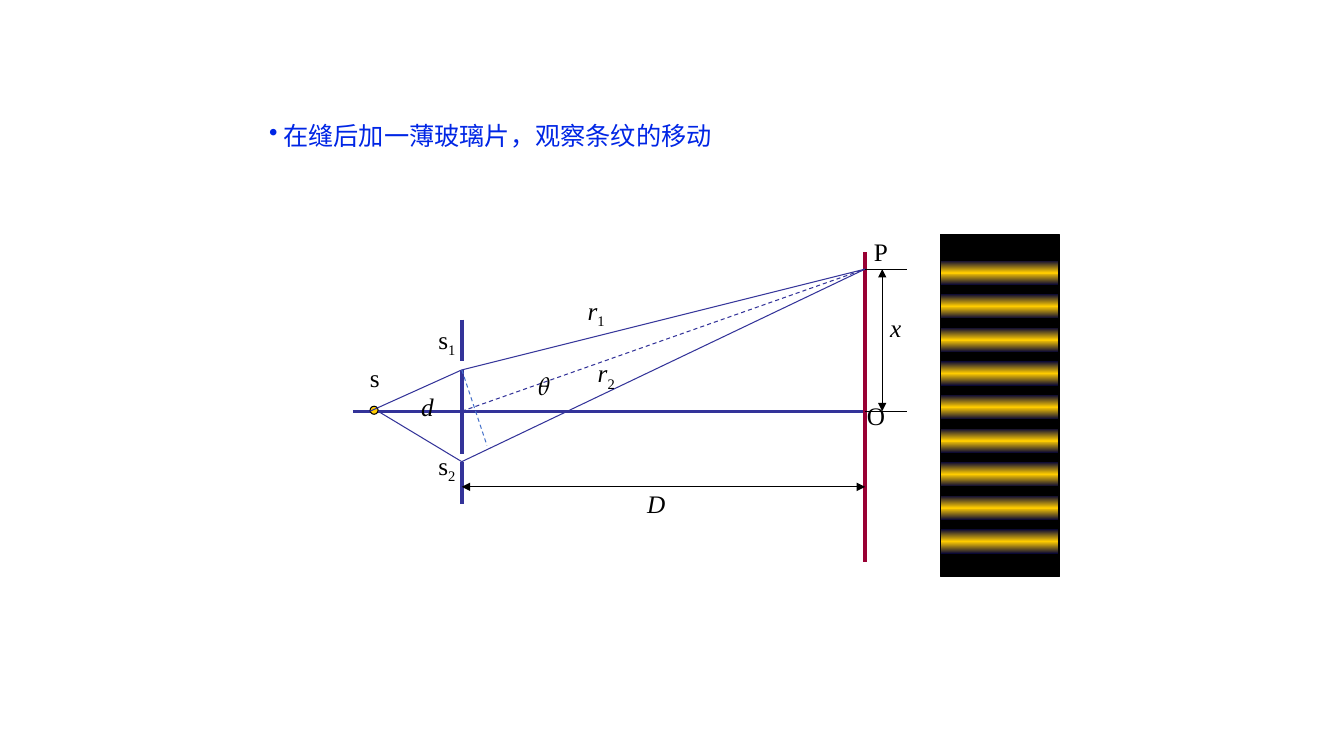
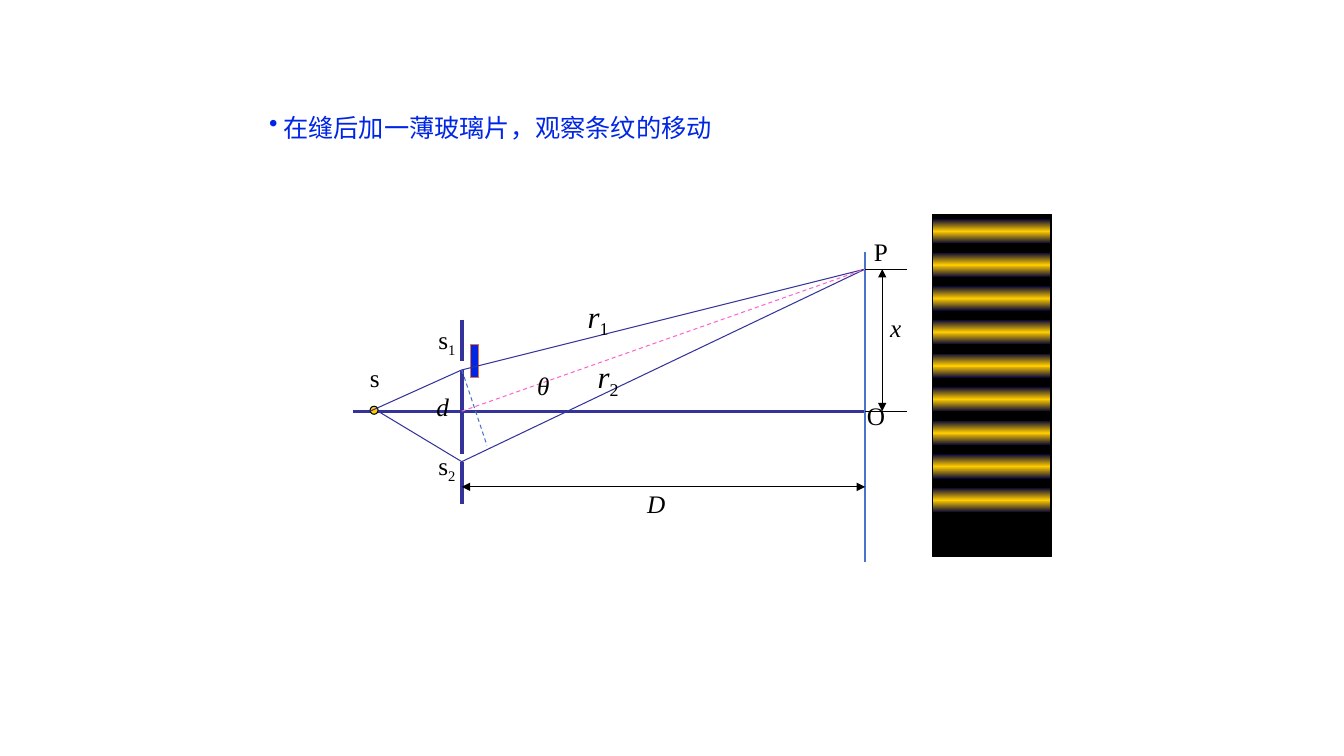
from lxml.etree import SubElement
from pptx import Presentation
from pptx.dml.color import RGBColor
from pptx.enum.dml import MSO_LINE
from pptx.enum.shapes import MSO_CONNECTOR, MSO_SHAPE
from pptx.enum.text import MSO_ANCHOR
from pptx.oxml.ns import qn
from pptx.util import Inches, Pt


class Theme:
    blue, navy, black = "0026E5", "333399", "000000"
    steel, wine, pink = "4874CB", "990033", "FF66CC"
    gold, dark, orange = "FFCC00", "000036", "E6724B"
    font, greek = "Times New Roman", "TeX Gyre Pagella"
    size, large = 18, 22
    thin, screen, axis, thick = 0.75, 1.5, 2.25, 3


TITLE = "在缝后加一薄玻璃片，观察条纹的移动"

# Places in the optical set-up
SLIT, WALL, AXIS = 4.58, 8.58, 4.08
S1, S2, MID = (SLIT, 3.67), (SLIT, 4.58), (SLIT, AXIS)
P, O = (WALL, 2.67), (WALL, AXIS)
SPAN, EDGE, GAUGE = 4.83, 9, 8.75

BARRIER = [(3.17, 3.58), (3.67, 4.5), (4.58, 5)]
RAYS = [((3.67, AXIS), S1), ((3.75, AXIS), S2), (S1, P), (S2, P)]
TICKS = [(P, (EDGE, P[1])), (O, (EDGE, AXIS))]
ARROWS = [((SLIT, SPAN), (WALL, SPAN)), ((GAUGE, P[1]), (GAUGE, AXIS))]

# Text, subscript, italic, left, top, width
LABELS = [
    ("s", "", False, 3.57, 3.55, 0.3),
    ("s", "1", False, 4.25, 3.17, 0.38),
    ("s", "2", False, 4.25, 4.42, 0.38),
    ("P", "", False, 8.57, 2.3, 0.34),
    ("O", "", False, 8.5, 3.92, 0.38),
    ("D", "", True, 6.32, 4.8, 0.38),
    ("x", "", True, 8.73, 3.05, 0.31),
]

BANDS, PITCH = 9, 1 / 3

SLIDES = [
    dict(title=1.14, panel=(9.33, 2.33), first=2.58, glass=False,
         wall=(Theme.wine, Theme.thick), sight=Theme.navy, d=4.08,
         greek=Theme.greek, r_size=Theme.size, r_top=2.88, r_width=0.38),
    dict(title=1.06, panel=(9.25, 2.13), first=2.17, glass=True,
         wall=(Theme.steel, Theme.screen), sight=Theme.pink, d=4.23,
         greek=Theme.font, r_size=Theme.large, r_top=2.9, r_width=0.42),
]


def rgb(code):
    return RGBColor.from_string(code)


def box(slide, kind, place, fill, edge=Theme.black):
    shape = slide.shapes.add_shape(kind, *map(Inches, place))
    shape.shadow.inherit = False
    shape.fill.solid()
    shape.fill.fore_color.rgb = rgb(fill)
    shape.line.color.rgb = rgb(edge)
    shape.line.width = Pt(Theme.thin)
    return shape


def glow(shape):
    """Replace the plain fill by a dark, gold, dark vertical gradient."""
    props = shape.element.spPr
    plain = props.find(qn("a:solidFill"))
    grad = SubElement(props, qn("a:gradFill"), rotWithShape="1")
    stops = SubElement(grad, qn("a:gsLst"))
    for pos, code in ((0, Theme.dark), (50, Theme.gold), (100, Theme.dark)):
        stop = SubElement(stops, qn("a:gs"), pos=str(pos * 1000))
        SubElement(stop, qn("a:srgbClr"), val=code)
    SubElement(grad, qn("a:lin"), ang="5400000", scaled="1")
    props.replace(plain, grad)


def line(slide, start, end, color=Theme.navy, width=Theme.thin,
         dash=False, arrows=False):
    link = slide.shapes.add_connector(
        MSO_CONNECTOR.STRAIGHT, *map(Inches, (*start, *end)))
    link.line.color.rgb = rgb(color)
    link.line.width = Pt(width)
    if dash:
        link.line.dash_style = MSO_LINE.DASH
    if arrows:
        for tag in ("a:headEnd", "a:tailEnd"):
            SubElement(link.line._get_or_add_ln(), qn(tag), type="triangle")
    SubElement(link.element.spPr, qn("a:effectLst"))


def style(para, color=Theme.black, size=Theme.size, font=Theme.font,
          italic=False):
    para.font.name = font
    para.font.size = Pt(size)
    para.font.color.rgb = rgb(color)
    para.font.italic = italic


def label(slide, text, sub, italic, left, top, width,
          size=Theme.size, font=Theme.font):
    high = 0.4 if size == Theme.size else 0.47
    frame = slide.shapes.add_textbox(
        *map(Inches, (left, top, width, high))).text_frame
    frame.word_wrap = False
    para = frame.paragraphs[0]
    style(para, size=size, font=font, italic=italic)
    para.add_run().text = text
    if sub:
        run = para.add_run()
        run.text = sub
        run.font.italic = False
        run.font._element.set("baseline", "-25000")


def title(slide, top):
    frame = slide.shapes.add_textbox(
        *map(Inches, (2.57, top, 7.95, 0.4))).text_frame
    frame.word_wrap = True
    frame.vertical_anchor = MSO_ANCHOR.MIDDLE
    para = frame.paragraphs[0]
    props = para._p.get_or_add_pPr()
    props.set("marL", str(Inches(0.14)))
    props.set("indent", str(-Inches(0.14)))
    SubElement(props, qn("a:buChar"), char="•")
    style(para, Theme.blue)
    para.add_run().text = TITLE


def fringes(slide, left, top, first):
    box(slide, MSO_SHAPE.RECTANGLE, (left, top, 1.18, 3.39), Theme.black)
    for i in range(BANDS):
        place = (left, first + i * PITCH, 1.17, 0.25)
        glow(box(slide, MSO_SHAPE.RECTANGLE, place, Theme.gold))


def setup(slide, part):
    """Draw the source, slits, screen, rays and measures."""
    if part["glass"]:
        box(slide, MSO_SHAPE.RECTANGLE, (4.67, 3.42, 0.08, 0.33),
            Theme.blue, Theme.orange)
    line(slide, (3.5, AXIS), O, width=Theme.axis)
    for top, end in BARRIER:
        line(slide, (SLIT, top), (SLIT, end), width=Theme.thick)
    line(slide, (WALL, 2.5), (WALL, 5.58), *part["wall"])
    box(slide, MSO_SHAPE.OVAL, (3.67, 4.03, 0.08, 0.08), Theme.gold)
    for ray in RAYS:
        line(slide, *ray)
    line(slide, MID, P, part["sight"], dash=True)
    line(slide, S1, (4.83, 4.42), Theme.steel, dash=True)
    for tick in TICKS:
        line(slide, *tick, Theme.black)
    for arrow in ARROWS:
        line(slide, *arrow, Theme.black, arrows=True)


def names(slide, part):
    for item in LABELS:
        label(slide, *item)
    label(slide, "d", "", True, part["d"], 3.83, 0.33)
    label(slide, "θ", "", True, 5.23, 3.62, 0.33, font=part["greek"])
    for sub, left, top in (("1", 5.73, part["r_top"]), ("2", 5.83, 3.5)):
        label(slide, "r", sub, True, left, top, part["r_width"],
              size=part["r_size"])


def main():
    deck = Presentation()
    deck.slide_width, deck.slide_height = Inches(13.33), Inches(7.5)
    for part in SLIDES:
        slide = deck.slides.add_slide(deck.slide_layouts[6])
        title(slide, part["title"])
        fringes(slide, *part["panel"], part["first"])
        setup(slide, part)
        names(slide, part)
    deck.save("out.pptx")


if __name__ == "__main__":
    main()
